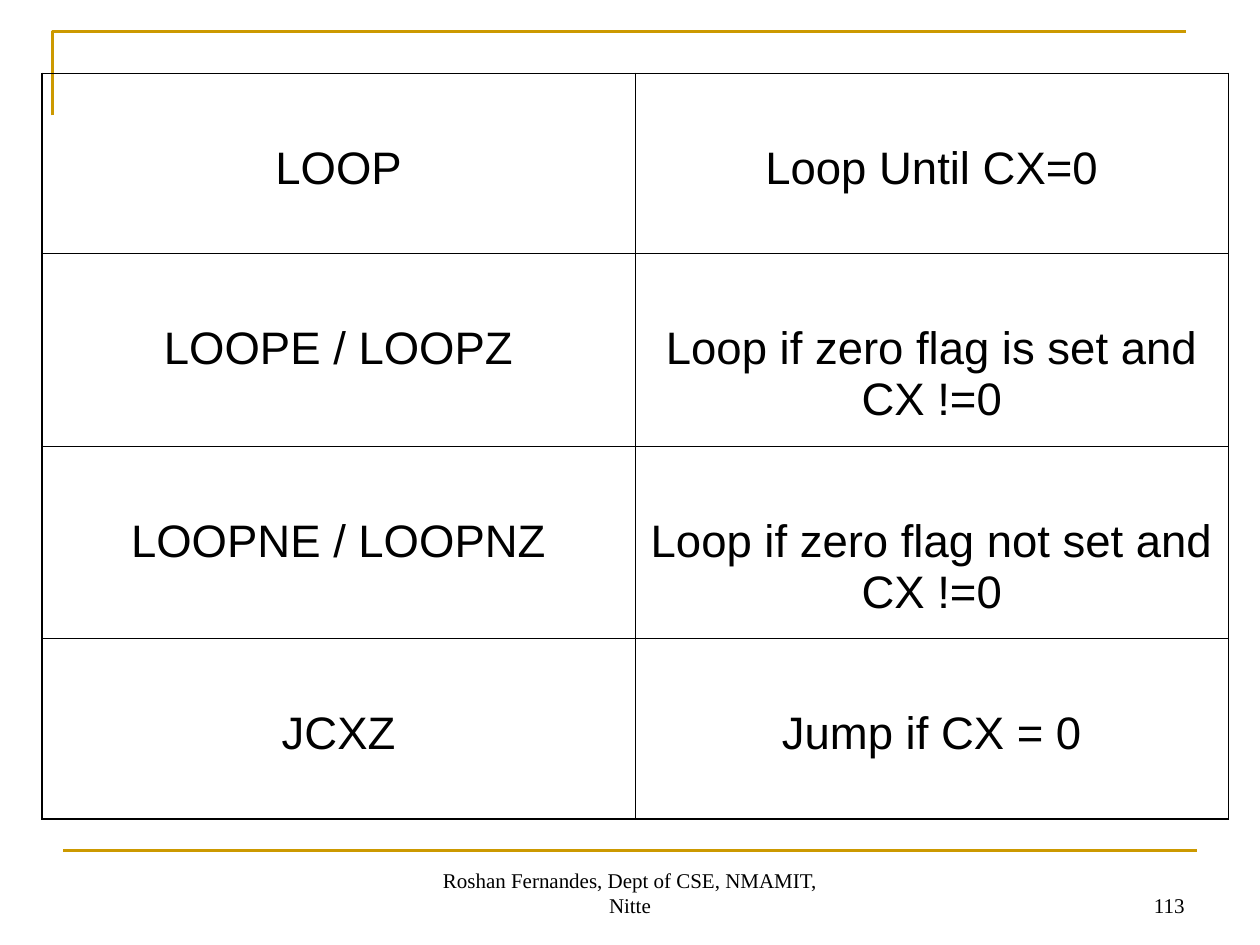
from dataclasses import dataclass

from lxml.etree import SubElement
from pptx import Presentation
from pptx.dml.color import RGBColor
from pptx.enum.text import MSO_ANCHOR, PP_ALIGN
from pptx.oxml.ns import qn
from pptx.table import _Cell
from pptx.util import Pt

BLACK = RGBColor(0x00, 0x00, 0x00)
GOLD = RGBColor(0xCC, 0x99, 0x00)
OUTER_BORDER = 1.08
INNER_BORDER = 0.45
ROW_HEIGHTS = (103, 110, 110, 103)
COLUMN_WIDTH = 339


@dataclass(frozen=True)
class Instruction:
    mnemonic: str
    meaning: str


@dataclass(frozen=True)
class FooterItem:
    text: str
    left: float
    width: float
    alignment: PP_ALIGN


INSTRUCTIONS = (
    Instruction("LOOP", "Loop Until CX=0"),
    Instruction("LOOPE / LOOPZ", "Loop if zero flag is set and CX !=0"),
    Instruction("LOOPNE / LOOPNZ", "Loop if zero flag not set and CX !=0"),
    Instruction("JCXZ", "Jump if CX = 0"),
)
FOOTER = (
    FooterItem("Roshan Fernandes, Dept of CSE, NMAMIT, Nitte", 246, 228, PP_ALIGN.CENTER),
    FooterItem("113", 516, 168, PP_ALIGN.RIGHT),
)


def format_text(text_frame, alignment: PP_ALIGN, font_name: str, size: float) -> None:
    for paragraph in text_frame.paragraphs:
        paragraph.alignment = alignment
        for run in paragraph.runs:
            run.font.name = font_name
            run.font.size = Pt(size)
            run.font.color.rgb = BLACK


def draw_frame(slide) -> None:
    builder = slide.shapes.build_freeform(Pt(30), Pt(66))
    builder.add_line_segments([(Pt(30), Pt(18)), (Pt(678), Pt(18))], close=False)
    corner = builder.convert_to_shape()
    corner.shadow.inherit = False
    corner.fill.background()
    footer_rule = slide.shapes.add_connector(1, Pt(36), Pt(486), Pt(684), Pt(486))
    SubElement(footer_rule._element.spPr, qn("a:effectLst"))
    for rule in (corner, footer_rule):
        rule.line.color.rgb = GOLD
        rule.line.width = Pt(1.5)
    SubElement(footer_rule._element.spPr, qn("a:effectLst")) if footer_rule._element.spPr.find(
        qn("a:effectLst")) is None else None


def draw_footer_item(slide, item: FooterItem) -> None:
    box = slide.shapes.add_textbox(Pt(item.left), Pt(492), Pt(item.width), Pt(36))
    text_frame = box.text_frame
    text_frame.word_wrap = True
    text_frame.vertical_anchor = MSO_ANCHOR.BOTTOM
    text_frame.text = item.text
    format_text(text_frame, item.alignment, "Times New Roman", 12)


def set_border(cell: _Cell, side: str, width: float) -> None:
    border = SubElement(cell._tc.get_or_add_tcPr(), qn(f"a:ln{side}"), w=str(Pt(width)))
    fill = SubElement(border, qn("a:solidFill"))
    SubElement(fill, qn("a:srgbClr"), val=str(BLACK))


def fill_cell(cell: _Cell, text: str, outer_sides: dict[str, bool]) -> None:
    cell.text_frame.text = text
    cell.margin_top = Pt(40)
    format_text(cell.text_frame, PP_ALIGN.CENTER, "Arial", 26)
    for side, is_outer in outer_sides.items():
        set_border(cell, side, OUTER_BORDER if is_outer else INNER_BORDER)
    cell.fill.background()


def draw_instructions(slide) -> None:
    table = slide.shapes.add_table(
        len(INSTRUCTIONS), 2, Pt(24), Pt(42), Pt(2 * COLUMN_WIDTH), Pt(sum(ROW_HEIGHTS))
    ).table
    table.first_row = False
    table.horz_banding = False
    for column in table.columns:
        column.width = Pt(COLUMN_WIDTH)
    last_row = len(INSTRUCTIONS) - 1
    for row, (instruction, height) in enumerate(zip(INSTRUCTIONS, ROW_HEIGHTS)):
        table.rows[row].height = Pt(height)
        for column, text in enumerate((instruction.mnemonic, instruction.meaning)):
            outer_sides = {
                "L": column == 0, "R": column == 1, "T": row == 0, "B": row == last_row,
            }
            fill_cell(table.cell(row, column), text, outer_sides)


def main() -> None:
    presentation = Presentation()
    presentation.slide_width = Pt(720)
    presentation.slide_height = Pt(540)
    slide = presentation.slides.add_slide(presentation.slide_layouts[6])
    draw_frame(slide)
    for item in FOOTER:
        draw_footer_item(slide, item)
    draw_instructions(slide)
    presentation.save("out.pptx")


if __name__ == "__main__":
    main()
